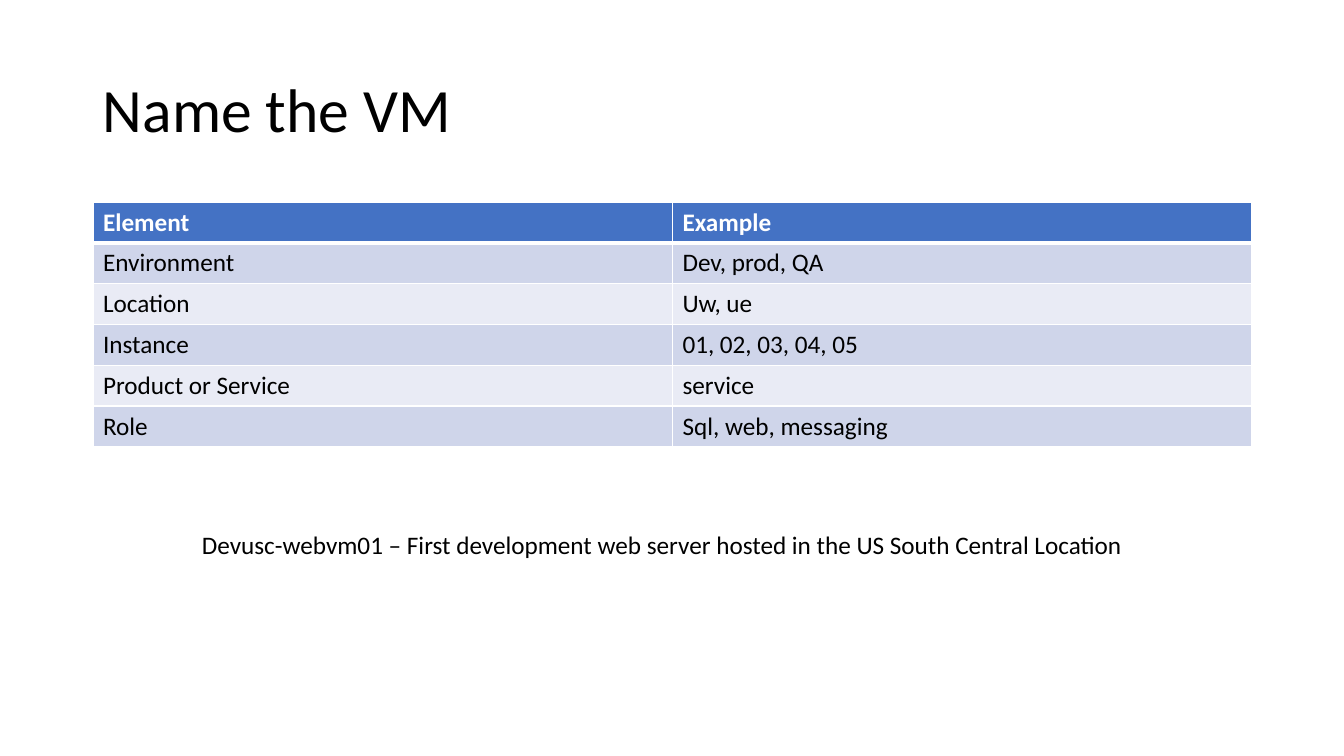
from lxml import etree
from pptx import Presentation
from pptx import util as u
from pptx.dml.color import RGBColor
from pptx.enum import text
from pptx.oxml.ns import qn

# Content
TITLE = "Name the VM"
NAMING_ROWS = [
    ("Element", "Example"),
    ("Environment", "Dev, prod, QA"),
    ("Location", "Uw, ue"),
    ("Instance", "01, 02, 03, 04, 05"),
    ("Product or Service", "service"),
    ("Role", "Sql, web, messaging"),
]
SAMPLE_NAME = ("Devusc-webvm01 – First development web server hosted "
               "in the US South Central Location")

# Colours
BLACK = RGBColor(0x00, 0x00, 0x00)
WHITE = RGBColor(0xFF, 0xFF, 0xFF)
HEADER_BLUE = RGBColor(0x44, 0x72, 0xC4)
BANDS = [RGBColor(0xCF, 0xD5, 0xEA), RGBColor(0xE9, 0xEB, 0xF5)]

# Places in pixels: left, top, width, height
SLIDE_SIZE = (1344, 756)
TITLE_BOX = (93, 40, 1159, 146)
TABLE_BOX = (93, 202, 1159, 245)
SAMPLE_BOX = (192, 524, 952, 40)


def emu(pixels):
    return u.Emu(round(pixels * 914400 / 100.8))


def write(paragraph, words, size, color=BLACK, bold=False):
    run = paragraph.add_run()
    run.text = words
    run.font.color.rgb = color
    formats = {"name": "Calibri", "size": u.Pt(size), "bold": bold}
    for name, value in formats.items():
        setattr(run.font, name, value)


def add_text(slide, box, words, size, frame_formats, line_spacing=1.0):
    frame = slide.shapes.add_textbox(*map(emu, box)).text_frame
    for name, value in frame_formats.items():
        setattr(frame, name, value)
    paragraph = frame.paragraphs[0]
    paragraph.line_spacing = line_spacing
    write(paragraph, words, size)


def set_borders(cell, widths):
    properties = cell._tc.get_or_add_tcPr()
    for side, width in widths.items():
        line = etree.SubElement(properties, qn(f"a:ln{side}"), w=str(u.Pt(width)))
        fill = etree.SubElement(line, qn("a:solidFill"))
        etree.SubElement(fill, qn("a:srgbClr"), val=str(WHITE))


presentation = Presentation()
presentation.slide_width, presentation.slide_height = map(emu, SLIDE_SIZE)
slide = presentation.slides.add_slide(presentation.slide_layouts[6])

# Title
add_text(slide, TITLE_BOX, TITLE, 44,
         {"word_wrap": True, "vertical_anchor": text.MSO_ANCHOR.MIDDLE}, 0.9)

# Naming table
table = slide.shapes.add_table(
    len(NAMING_ROWS), len(NAMING_ROWS[0]), *map(emu, TABLE_BOX)).table
for row, values in enumerate(NAMING_ROWS):
    header = row == 0
    for column, value in enumerate(values):
        cell = table.cell(row, column)
        set_borders(cell, {"L": 1, "R": 1, "T": 3 if row == 1 else 1,
                           "B": 3 if header else 1})
        cell.fill.solid()
        cell.fill.fore_color.rgb = HEADER_BLUE if header else BANDS[(row - 1) % 2]
        write(cell.text_frame.paragraphs[0], value, 18,
              WHITE if header else BLACK, header)

# Sample name
add_text(slide, SAMPLE_BOX, SAMPLE_NAME, 18,
         {"word_wrap": False, "auto_size": text.MSO_AUTO_SIZE.SHAPE_TO_FIT_TEXT})

presentation.save("out.pptx")
